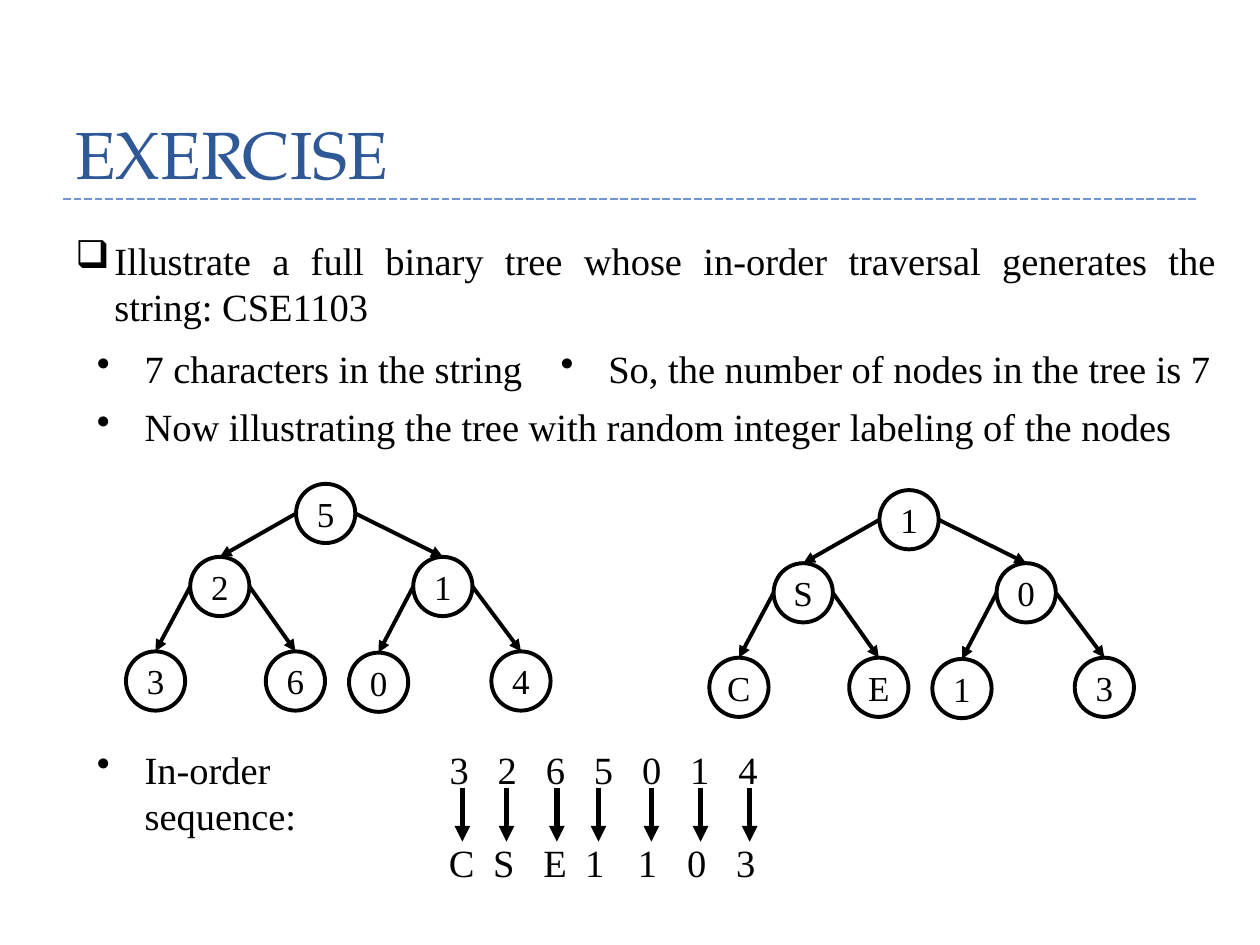
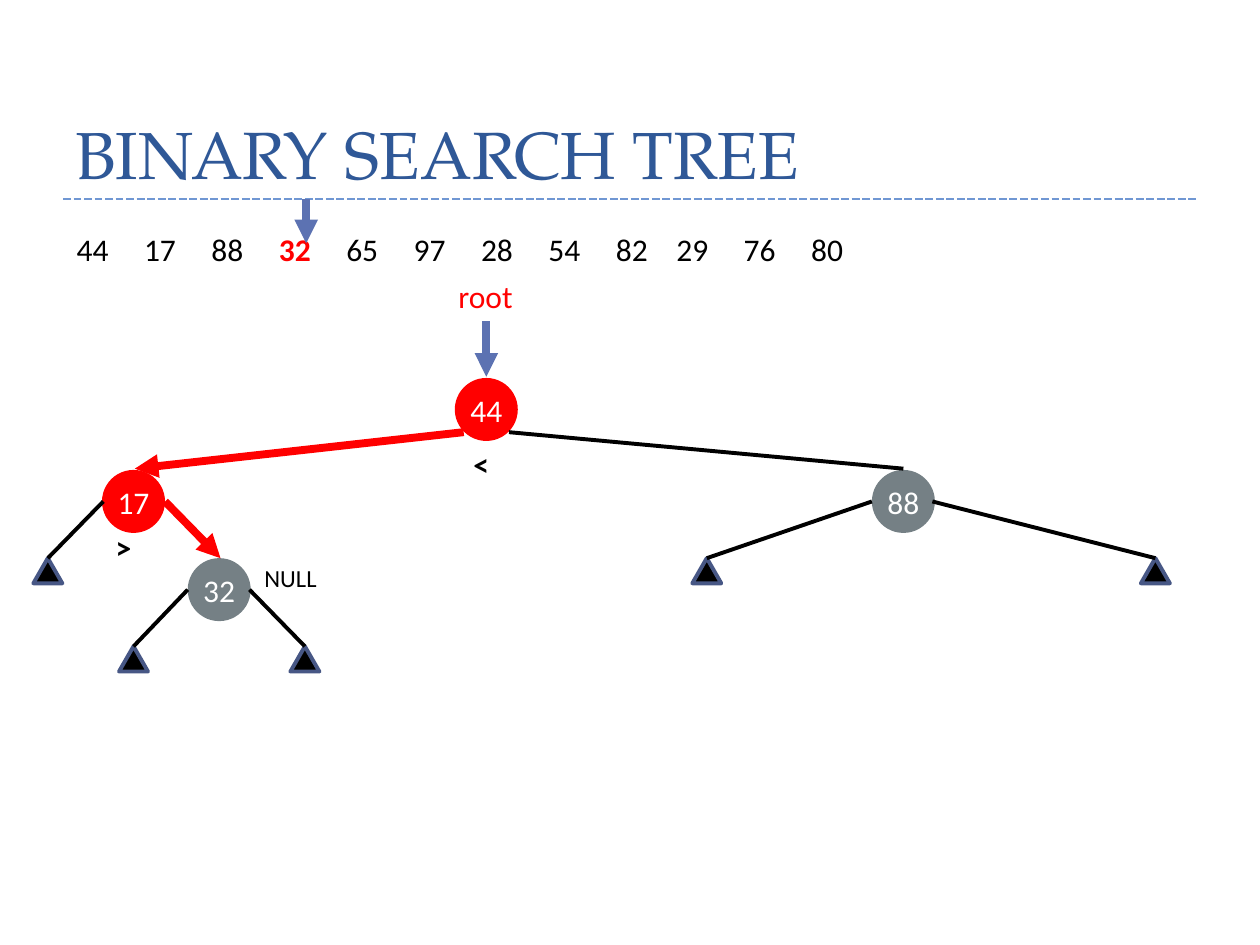
"""Two slides on binary trees: an in-order exercise and a search tree insertion."""
import pptx
import pptx.util
import pptx.dml.color
import pptx.enum.dml
import pptx.enum.shapes
import pptx.enum.text
import pptx.oxml.ns
import lxml.etree

prs = pptx.Presentation()
prs.slide_width = pptx.util.Inches(10)
prs.slide_height = pptx.util.Inches(7.5)
COL = prs.slide_width / 100
ROW = prs.slide_height / 75

rgb = pptx.dml.color.RGBColor.from_string
qn = pptx.oxml.ns.qn
SHAPE = pptx.enum.shapes.MSO_SHAPE
ALIGN = pptx.enum.text.PP_ALIGN
ANCHOR = pptx.enum.text.MSO_ANCHOR

BLACK, WHITE, RED, GREY = "000000", "FFFFFF", "FF0000", "758085"
BLUE, TRIANGLE_LINE = "5C72B2", "475785"
TITLE = {"name": "TeX Gyre Pagella", "size": 38, "color": "2F5897"}
BODY = {"name": "Times New Roman", "size": 22, "color": BLACK}
NODE = {**BODY, "size": 20}
LABEL = {"name": "Calibri", "size": 18, "color": BLACK}
KEY = {**LABEL, "color": WHITE}


def box(s, at, runs=(), font=BODY, kind=None, fill=None, line=None, wrap=False,
        align=ALIGN.LEFT, anchor=ANCHOR.TOP, bullet=None, hang=0, tabs=(), spacing=None):
    x, y, w, h = at
    place = [round(v) for v in (x * COL, y * ROW, w * COL, h * ROW)]
    sp = s.shapes.add_shape(kind, *place) if kind else s.shapes.add_textbox(*place)
    tf = sp.text_frame
    if kind:
        sp.shadow.inherit = False
        tf.margin_left = tf.margin_right = tf.margin_top = tf.margin_bottom = 0
        align, anchor = ALIGN.CENTER, ANCHOR.MIDDLE
        if fill:
            sp.fill.solid()
            sp.fill.fore_color.rgb = rgb(fill)
        else:
            sp.fill.background()
        if line:
            sp.line.color.rgb = rgb(line)
            sp.line.width = pptx.util.Pt(2.25)
        else:
            sp.line.fill.background()
    tf.word_wrap, tf.vertical_anchor = wrap, anchor
    p = tf.paragraphs[0]
    p.alignment = align
    if spacing:
        p.line_spacing = pptx.util.Pt(spacing)
    pPr = p._p.get_or_add_pPr()
    if bullet:
        pPr.set("marL", str(round(hang * COL)))
        pPr.set("indent", str(round(-hang * COL)))
        lxml.etree.SubElement(pPr, qn("a:buChar"), char=bullet)
    if tabs:
        stops = lxml.etree.SubElement(pPr, qn("a:tabLst"))
        for tab in tabs:
            lxml.etree.SubElement(stops, qn("a:tab"), pos=str(round(tab * COL)), algn="l")
    for text, change in [(runs, {})] if isinstance(runs, str) else runs:
        r = p.add_run()
        r.text = text
        values = {**font, **change}
        r.font.color.rgb = rgb(values.pop("color"))
        values["size"] = pptx.util.Pt(values["size"])
        for name, value in values.items():
            setattr(r.font, name, value)
    return sp


def link(s, start, end, color=BLACK, width=2.25, arrow=False, dash=None):
    ends = [round(v * unit) for v, unit in zip((*start, *end), (COL, ROW) * 2)]
    c = s.shapes.add_connector(pptx.enum.shapes.MSO_CONNECTOR.STRAIGHT, *ends)
    c.line.color.rgb = rgb(color)
    c.line.width = pptx.util.Pt(width)
    if dash:
        c.line.dash_style = dash
    if arrow:
        lxml.etree.SubElement(c.line._get_or_add_ln(), qn("a:tailEnd"), type="triangle")
    lxml.etree.SubElement(c._element.spPr, qn("a:effectLst"))


slides = []
for title in ("EXERCISE", "BINARY SEARCH TREE"):
    s = prs.slides.add_slide(prs.slide_layouts[6])
    link(s, (5, 15.8), (95, 15.8), "7097D3", 1.5, dash=pptx.enum.dml.MSO_LINE.SQUARE_DOT)
    box(s, (5, -1.7, 90, 17.5), title, TITLE, wrap=True, anchor=ANCHOR.BOTTOM, spacing=58)
    slides.append(s)
exercise, search = slides

s = exercise
for at, bullet, hang, text in (
    ((5, 18.3, 92.5, 8.4), "❑", 3.1,
     "Illustrate a full binary tree whose in-order traversal generates the string: CSE1103"),
    ((6.7, 26.9, 38.3, 4.7), "•", 3.8, "7 characters in the string"),
    ((43.5, 26.9, 54.2, 4.7), "•", 3.8, "So, the number of nodes in the tree is 7"),
    ((6.7, 31.5, 91, 4.7), "•", 3.8,
     "Now illustrating the tree with random integer labeling of the nodes"),
    ((6.7, 58.7, 28.5, 4.7), "•", 3.8, "In-order sequence:"),
):
    box(s, at, text, wrap=True, align=ALIGN.JUSTIFY, bullet=bullet, hang=hang)

D = 4.7
spots = [(23.5, 38.4), (15.1, 44.2), (32.8, 44.2), (10, 51.7), (21.1, 51.7), (27.7, 51.8), (39, 51.7)]
for labels, dx, dy in (("5213604", 0, 0), ("1S0CE13", 46.3, 0.5)):
    nodes = [(x + dx, y + dy) for x, y in spots]
    for (x, y), label in zip(nodes, labels):
        box(s, (x, y, D, D), label, NODE, SHAPE.OVAL, line=BLACK)
    for i, (x, y) in enumerate(nodes[1:]):
        px, py = nodes[i // 2]
        link(s, (px + i % 2 * D, py + D / 2), (x + D / 2, y), arrow=True)

box(s, (34.7, 58.7, 35, 4.7), "\t".join("3265014"), wrap=True,
    tabs=[3.82 * i for i in range(1, 7)])
for letter, x in zip("CSE1103", (36.7, 40.2, 44.2, 47.5, 51.7, 55.6, 59.5)):
    link(s, (x, 62.5), (x, 66.8), width=3, arrow=True)
    box(s, (x - 2.05, 66.1, 3.7, 4.7), letter)

s = search
box(s, (5.1, 17.8, 75, 4),
    [("44\t17\t88\t", {}), ("32", {"color": RED, "bold": True}),
     ("\t65\t97\t28\t54\t82\t29\t76\t80", {})], LABEL, wrap=True,
    tabs=[5.35 * i - (0.55 if i > 8 else 0) for i in range(1, 12)])
for at, text, change in (
    ((35.4, 21.5, 6.4, 4), "root", {"color": RED}),
    ((36.6, 34.8, 3.7, 4), "<", {"bold": True}),
    ((8.2, 41.4, 3.7, 4), ">", {"bold": True}),
    ((20, 44.2, 7.8, 3.4), "NULL", {"size": 14}),
):
    box(s, at, text, {**LABEL, **change})

R = 2.5
for x, y, key, fill in ((38.6, 32.5, "44", RED), (10.6, 39.8, "17", RED),
                        (17.4, 46.8, "32", GREY), (71.7, 39.8, "88", GREY)):
    box(s, (x - R, y - R, 2 * R, 2 * R), key, KEY, SHAPE.OVAL, fill)

for start, leaf in (((8.2, 39.8), (3.8, 44.3)), ((14.9, 46.8), (10.6, 51.3)),
                    ((19.8, 46.8), (24.2, 51.3)), ((69.2, 39.8), (56.1, 44.3)),
                    ((74, 39.8), (91.7, 44.3))):
    box(s, (leaf[0] - 1.15, leaf[1], 2.3, 2), kind=SHAPE.ISOSCELES_TRIANGLE,
        fill=BLACK, line=TRIANGLE_LINE)
    link(s, start, leaf)
link(s, (40.4, 34.3), (71.7, 37.2))

for start, end, color in (((24.3, 15.8), (24.3, 19.3), BLUE), ((38.6, 25.5), (38.6, 29.9), BLUE),
                          ((13.1, 39.8), (17.5, 44.3), RED), ((36.8, 34.3), (10.7, 37.2), RED)):
    link(s, start, end, color, 4.5, arrow=True)

prs.save("out.pptx")
